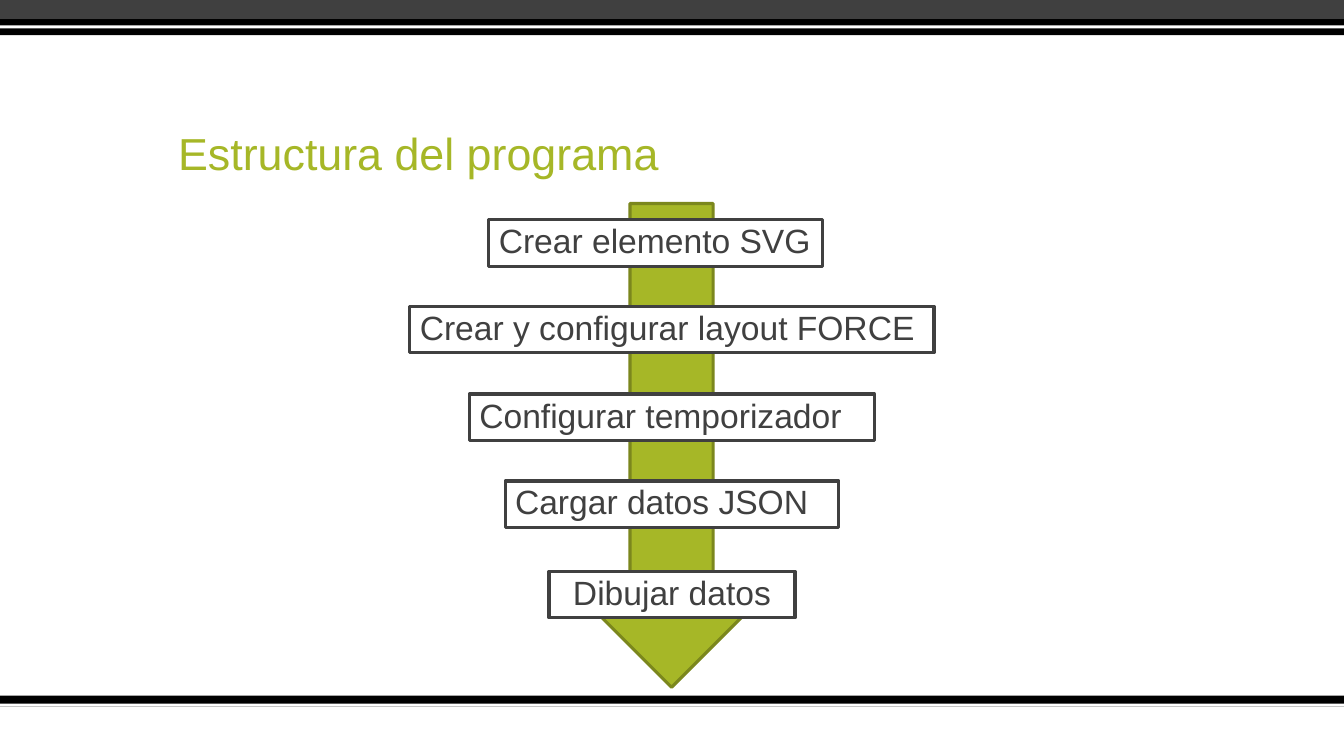
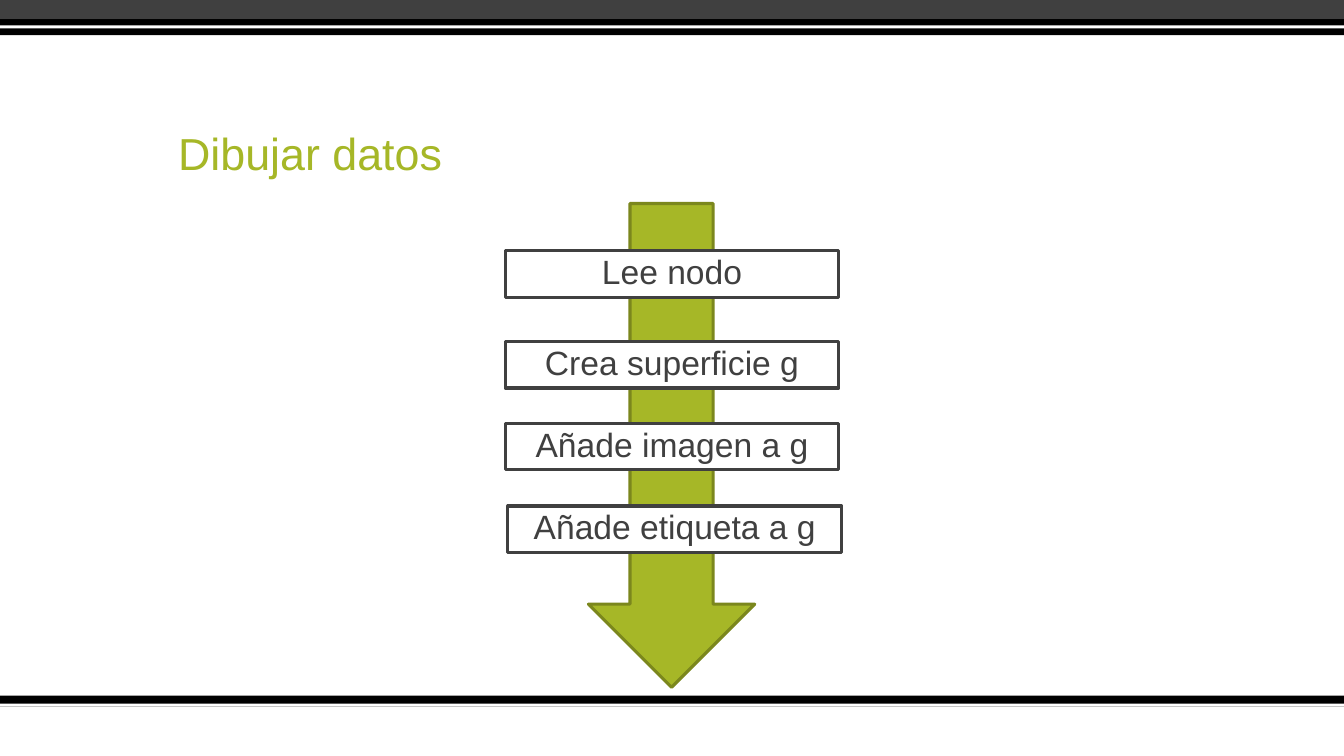
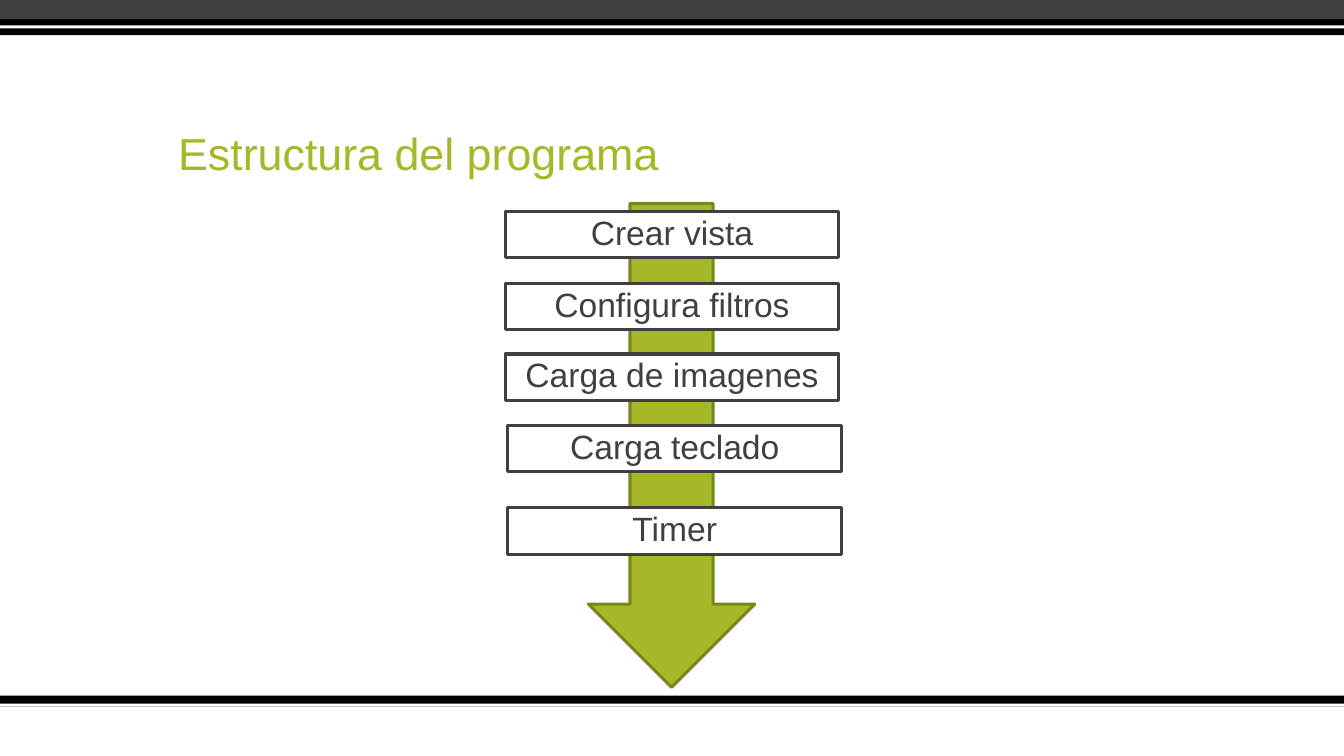
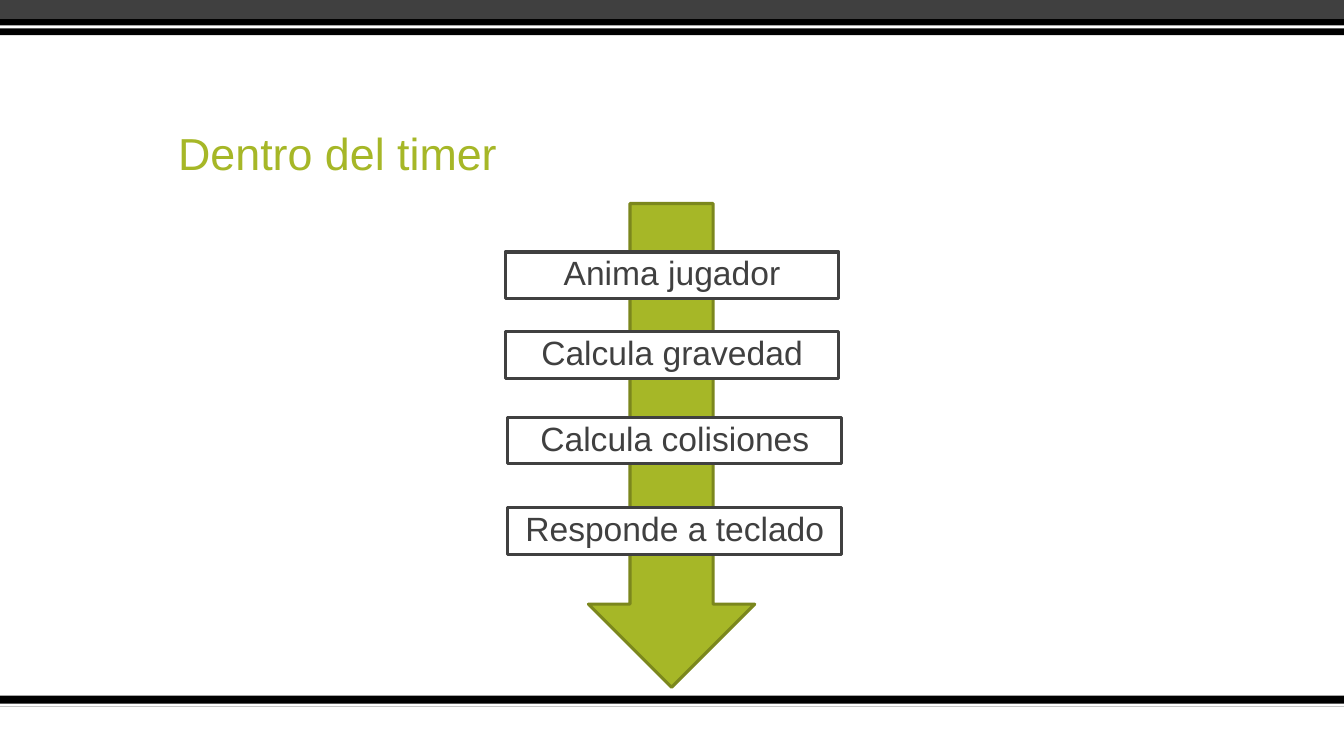
"""Build four slides that show program steps along a down arrow."""
from dataclasses import dataclass
from typing import Any

from pptx import Presentation
from pptx.dml.color import RGBColor
from pptx.enum.shapes import MSO_SHAPE
from pptx.enum.text import MSO_ANCHOR, MSO_AUTO_SIZE, PP_ALIGN
from pptx.util import Cm, Pt

RECT, ARROW = MSO_SHAPE.RECTANGLE, MSO_SHAPE.DOWN_ARROW
TOP, BOTTOM = MSO_ANCHOR.TOP, MSO_ANCHOR.BOTTOM
LEFT, CENTER = PP_ALIGN.LEFT, PP_ALIGN.CENTER
GROW, FIXED = MSO_AUTO_SIZE.SHAPE_TO_FIT_TEXT, MSO_AUTO_SIZE.NONE

WIDE, HIGH = 33.87, 19.05
STEP_W, STEP_H = 8.41, 1.17
COLORS = {
    "green": "A6B727",
    "olive": "7B871D",
    "gray": "404040",
    "black": "000000",
    "white": "FFFFFF",
}
TITLE = {
    "frame": {"word_wrap": True, "auto_size": FIXED, "vertical_anchor": BOTTOM},
    "font": {"name": "Arial", "size": Pt(32)},
}
LABEL = {
    "frame": {"word_wrap": True, "auto_size": GROW, "vertical_anchor": TOP},
    "font": {"name": "Arial", "size": Pt(24)},
}


@dataclass(frozen=True)
class Band:
    top: float
    height: float
    color: str


@dataclass(frozen=True)
class Step:
    text: str
    top: float
    width: float = STEP_W
    shift: float = 0
    align: PP_ALIGN = CENTER


@dataclass(frozen=True)
class Page:
    title: str
    steps: tuple[Step, ...]


BANDS = (
    Band(17.53, 0.28, "black"),
    Band(17.73, 0.08, "white"),
    Band(0, 0.48, "gray"),
    Band(0.48, 0.41, "black"),
    Band(0.64, 0.08, "white"),
)
PAGES = (
    Page("Estructura del programa", (
        Step("Crear elemento SVG", 5.54, shift=-0.41, align=LEFT),
        Step("Crear y configurar layout FORCE", 7.72, 13.21, align=LEFT),
        Step("Configurar temporizador", 9.93, 10.21, align=LEFT),
        Step("Cargar datos JSON", 12.12, align=LEFT),
        Step("Dibujar datos", 14.4, 6.2),
    )),
    Page("Dibujar datos", (
        Step("Lee nodo", 6.32),
        Step("Crea superficie g", 8.61),
        Step("Añade imagen a g", 10.67),
        Step("Añade etiqueta a g", 12.75, shift=0.07),
    )),
    Page("Estructura del programa", (
        Step("Crear vista", 5.33),
        Step("Configura filtros", 7.14),
        Step("Carga de imagenes", 8.92),
        Step("Carga teclado", 10.72, shift=0.07),
        Step("Timer", 12.8, shift=0.07),
    )),
    Page("Dentro del timer", (
        Step("Anima jugador", 6.35),
        Step("Calcula gravedad", 8.36),
        Step("Calcula colisiones", 10.52, shift=0.07),
        Step("Responde a teclado", 12.8, shift=0.07),
    )),
)


def tint(name: str) -> RGBColor:
    return RGBColor.from_string(COLORS[name])


def apply(target: Any, values: dict[str, Any]) -> None:
    for key, value in values.items():
        setattr(target, key, value)


def draw(slide: Any, kind: MSO_SHAPE, left: float, top: float, width: float,
         height: float, fill: str, line: str | None = None) -> Any:
    shape = slide.shapes.add_shape(kind, Cm(left), Cm(top), Cm(width), Cm(height))
    shape.shadow.inherit = False
    shape.fill.solid()
    shape.fill.fore_color.rgb = tint(fill)
    if line:
        shape.line.color.rgb = tint(line)
        shape.line.width = Pt(2.25)
    else:
        shape.line.fill.background()
    return shape


def write(shape: Any, text: str, style: dict[str, dict[str, Any]],
          color: str, align: PP_ALIGN) -> None:
    frame = shape.text_frame
    apply(frame, style["frame"])
    para = frame.paragraphs[0]
    apply(para, {"alignment": align, "line_spacing": 0.9})
    run = para.add_run()
    run.text = text
    apply(run.font, style["font"])
    run.font.color.rgb = tint(color)


def build(slide: Any, page: Page) -> None:
    for band in BANDS:
        draw(slide, RECT, 0, band.top, WIDE, band.height, band.color)
    title = slide.shapes.add_textbox(Cm(4.24), Cm(1.7), Cm(25.4), Cm(2.97))
    write(title, page.title, TITLE, "green", LEFT)
    draw(slide, ARROW, 14.83, 5.13, 4.19, 12.19, "green", "olive")
    for step in page.steps:
        left = (WIDE - step.width) / 2 + step.shift
        box = draw(slide, RECT, left, step.top, step.width, STEP_H, "white", "gray")
        write(box, step.text, LABEL, "gray", step.align)


def main() -> None:
    deck = Presentation()
    apply(deck, {"slide_width": Cm(WIDE), "slide_height": Cm(HIGH)})
    for page in PAGES:
        build(deck.slides.add_slide(deck.slide_layouts[6]), page)
    deck.save("out.pptx")


if __name__ == "__main__":
    main()
